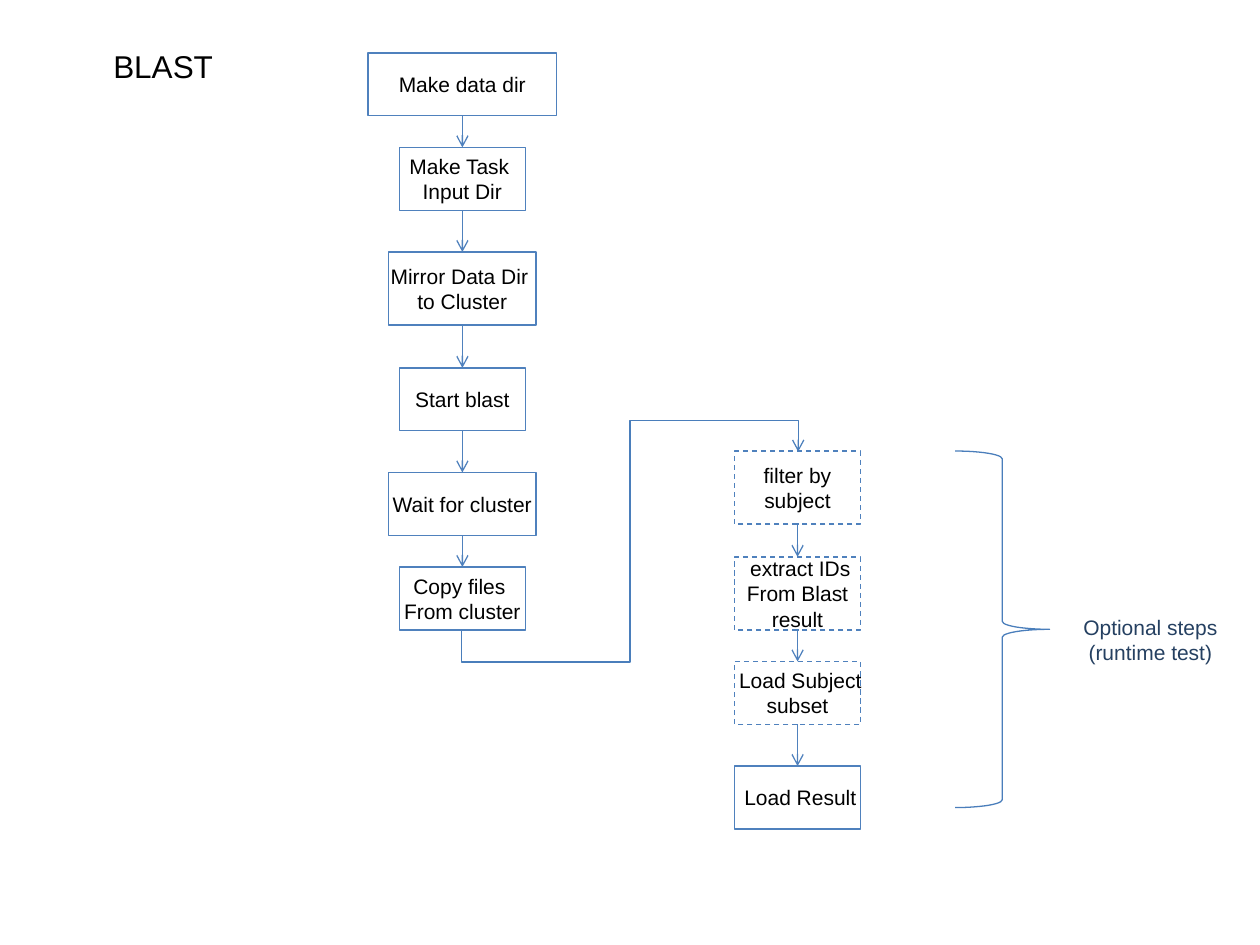
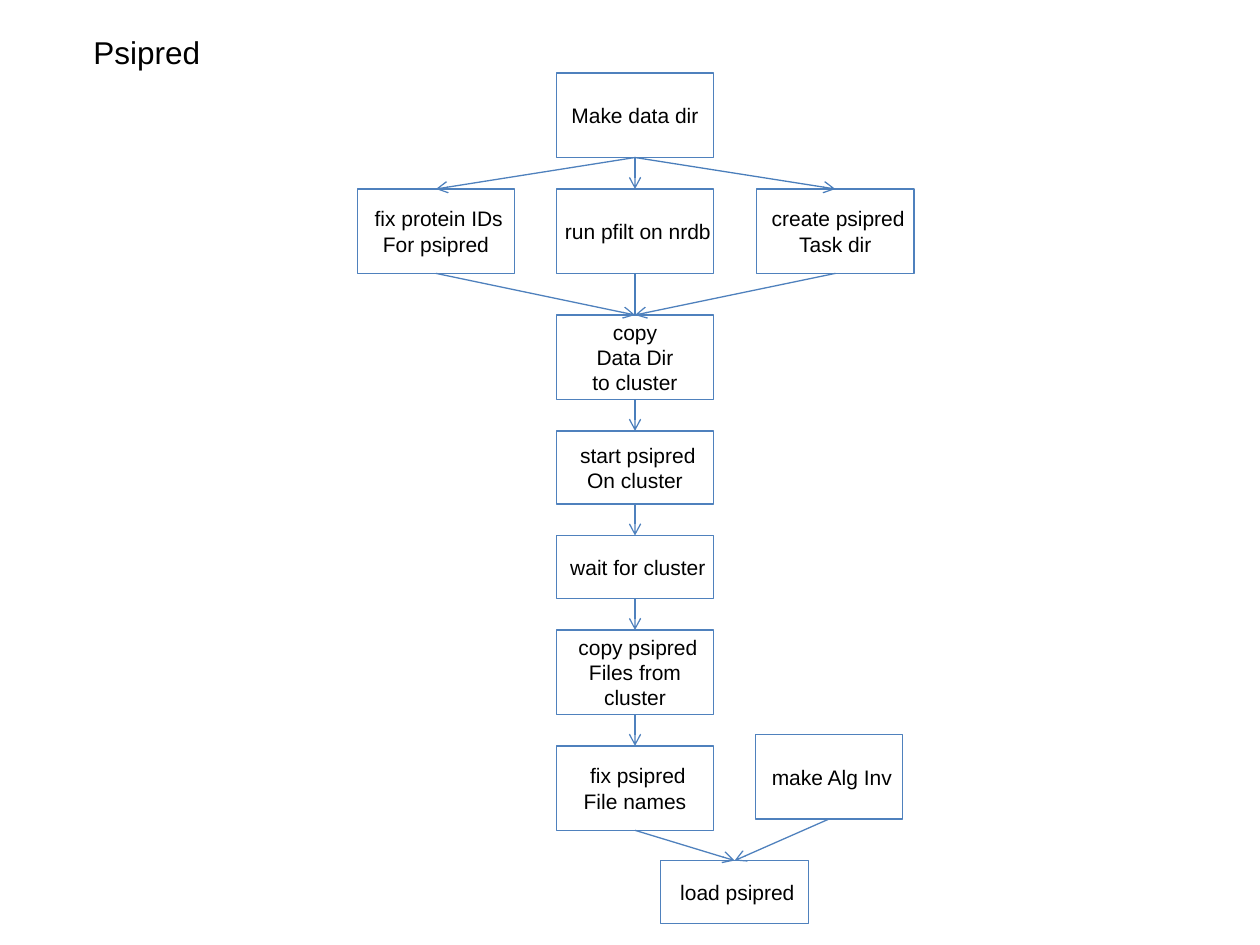
from lxml.etree import SubElement
from pptx import Presentation
from pptx.dml.color import RGBColor
from pptx.enum.dml import MSO_LINE
from pptx.enum.shapes import MSO_CONNECTOR, MSO_SHAPE
from pptx.enum.text import MSO_ANCHOR, PP_ALIGN
from pptx.oxml.ns import qn
from pptx.util import Inches, Pt

BOX_BLUE = RGBColor(0x4F, 0x81, 0xBD)
DEEP_BLUE = RGBColor(0x4A, 0x7E, 0xBB)
NAVY = RGBColor(0x25, 0x40, 0x61)
BLACK = RGBColor(0x00, 0x00, 0x00)
FONT = "Arial"
BOTTOM, TOP = 2, 0  # connection sites of a rectangle


def write_lines(tf, lines, size, color):
    """Fill a text frame with centred paragraphs, one per line."""
    for i, line in enumerate(lines):
        p = tf.paragraphs[0] if i == 0 else tf.add_paragraph()
        p.alignment = PP_ALIGN.CENTER
        r = p.add_run()
        r.text = line
        r.font.name = FONT
        r.font.size = Pt(size)
        r.font.color.rgb = color


def style_connector(c, color, arrow=True):
    """Set the line, drop the theme shadow and add an open arrowhead."""
    c.line.color.rgb = color
    c.line.width = Pt(0.75)
    if arrow:
        SubElement(c.line._get_or_add_ln(), qn("a:tailEnd"), type="arrow")
    SubElement(c._element.spPr, qn("a:effectLst"))


# Boxes: key -> (centre x, top, width, height, dashed, lines)
# Arrows: (from, to, colour, has arrowhead)
BLAST_X, LOAD_X = 3.67, 6.33
PSIPRED_X, LEFT_X, RIGHT_X = 5.04, 3.46, 6.63

FLOWS = [
    {
        "title": ("BLAST", 0.17, 0.3, 2.25, 0.45),
        "boxes": {
            "data": (BLAST_X, 0.42, 1.5, 0.5, False, ["Make data dir"]),
            "task": (BLAST_X, 1.17, 1, 0.5, False, ["Make Task ", "Input Dir"]),
            "mirror": (BLAST_X, 2, 1.17, 0.58, False, ["Mirror Data Dir ", "to Cluster"]),
            "start": (BLAST_X, 2.92, 1, 0.5, False, ["Start blast"]),
            "wait": (BLAST_X, 3.75, 1.17, 0.5, False, ["Wait for cluster"]),
            "copy": (BLAST_X, 4.5, 1, 0.5, False, ["Copy files ", "From cluster"]),
            "filter": (LOAD_X, 3.58, 1, 0.58, True, [" filter by ", "subject"]),
            "extract": (LOAD_X, 4.42, 1, 0.58, True, [" extract IDs", "From Blast", "result"]),
            "subset": (LOAD_X, 5.25, 1, 0.5, True, [" Load Subject", "subset"]),
            "result": (LOAD_X, 6.08, 1, 0.5, False, [" Load Result"]),
        },
        "arrows": [
            ("data", "task", BOX_BLUE, True),
            ("task", "mirror", BOX_BLUE, True),
            ("mirror", "start", BOX_BLUE, True),
            ("start", "wait", BOX_BLUE, True),
            ("wait", "copy", BOX_BLUE, True),
            ("filter", "extract", DEEP_BLUE, True),
            ("extract", "subset", BOX_BLUE, True),
            ("subset", "result", BOX_BLUE, True),
        ],
    },
    {
        "title": ("Psipred", 0.25, 0.25, 1.83, 0.33),
        "boxes": {
            "data": (PSIPRED_X, 0.58, 1.25, 0.67, False, ["Make data dir"]),
            "fix ids": (LEFT_X, 1.5, 1.25, 0.67, False, [" fix protein IDs", "For psipred"]),
            "pfilt": (PSIPRED_X, 1.5, 1.25, 0.67, False, [" run pfilt on nrdb"]),
            "task": (RIGHT_X, 1.5, 1.25, 0.67, False, [" create psipred", "Task dir"]),
            "copy": (PSIPRED_X, 2.5, 1.25, 0.67, False, [" copy ", "Data Dir", "to cluster"]),
            "start": (PSIPRED_X, 3.42, 1.25, 0.58, False, [" start psipred", "On cluster"]),
            "wait": (PSIPRED_X, 4.25, 1.25, 0.5, False, [" wait for cluster"]),
            "fetch": (PSIPRED_X, 5, 1.25, 0.67, False, [" copy psipred", "Files from", "cluster"]),
            "fix names": (PSIPRED_X, 5.92, 1.25, 0.67, False, [" fix psipred", "File names"]),
            "alg inv": (6.58, 5.83, 1.17, 0.67, False, [" make Alg Inv"]),
            "load": (5.83, 6.83, 1.17, 0.5, False, [" load psipred"]),
        },
        "arrows": [
            ("data", "fix ids", BOX_BLUE, True),
            ("data", "pfilt", BOX_BLUE, True),
            ("data", "task", DEEP_BLUE, True),
            ("fix ids", "copy", BOX_BLUE, True),
            ("pfilt", "copy", DEEP_BLUE, False),
            ("task", "copy", BOX_BLUE, True),
            ("copy", "start", DEEP_BLUE, True),
            ("start", "wait", BOX_BLUE, True),
            ("wait", "fetch", BOX_BLUE, True),
            ("fetch", "fix names", BOX_BLUE, True),
            ("fix names", "load", BOX_BLUE, True),
            ("alg inv", "load", BOX_BLUE, True),
        ],
    },
]

prs = Presentation()
prs.slide_width, prs.slide_height = Inches(10), Inches(7.5)
title_only = prs.slide_layouts[5]

for flow in FLOWS:
    s = prs.slides.add_slide(title_only)
    text, *place = flow["title"]
    title = s.shapes.title
    title.left, title.top, title.width, title.height = map(Inches, place)
    title.text_frame.vertical_anchor = MSO_ANCHOR.MIDDLE
    write_lines(title.text_frame, [text], 18, BLACK)

    boxes = {}
    for key, (x, y, w, h, dashed, lines) in flow["boxes"].items():
        sp = s.shapes.add_shape(MSO_SHAPE.RECTANGLE, Inches(x - w / 2), Inches(y),
                                Inches(w), Inches(h))
        sp.shadow.inherit = False
        sp.fill.background()
        sp.line.color.rgb = BOX_BLUE
        sp.line.width = Pt(0.75)
        if dashed:
            sp.line.dash_style = MSO_LINE.DASH
        sp.text_frame.word_wrap = False
        sp.text_frame.vertical_anchor = MSO_ANCHOR.MIDDLE
        write_lines(sp.text_frame, lines, 12, BLACK)
        boxes[key] = sp

    for source, target, color, arrow in flow["arrows"]:
        c = s.shapes.add_connector(MSO_CONNECTOR.STRAIGHT, 0, 0, 0, 0)
        c.begin_connect(boxes[source], BOTTOM)
        c.end_connect(boxes[target], TOP)
        style_connector(c, color, arrow)

# BLAST only: the bent arrow to the second column, then the optional steps
s = prs.slides[0]
c = s.shapes.add_connector(MSO_CONNECTOR.ELBOW, Inches(5.71), Inches(5.63),
                           Inches(4.29), Inches(2.96))
c._element.spPr.find(qn("a:xfrm")).set("rot", "5400000")
geom = c._element.spPr.find(qn("a:prstGeom"))
geom.set("prst", "bentConnector5")
for name, value in (("adj1", -17600), ("adj2", 50000), ("adj3", 117600)):
    SubElement(geom.find(qn("a:avLst")), qn("a:gd"), name=name, fmla=f"val {value}")
style_connector(c, DEEP_BLUE)

brace = s.shapes.add_shape(MSO_SHAPE.RIGHT_BRACE, Inches(7.58), Inches(3.58),
                           Inches(0.75), Inches(2.83))
brace.shadow.inherit = False
brace.fill.background()
brace.line.color.rgb = DEEP_BLUE
brace.line.width = Pt(0.75)

note = s.shapes.add_textbox(Inches(8.42), Inches(4.83), Inches(1.42), Inches(0.5))
note.text_frame.word_wrap = True
write_lines(note.text_frame, ["Optional steps", "(runtime test)"], 12, NAVY)

prs.save("out.pptx")
